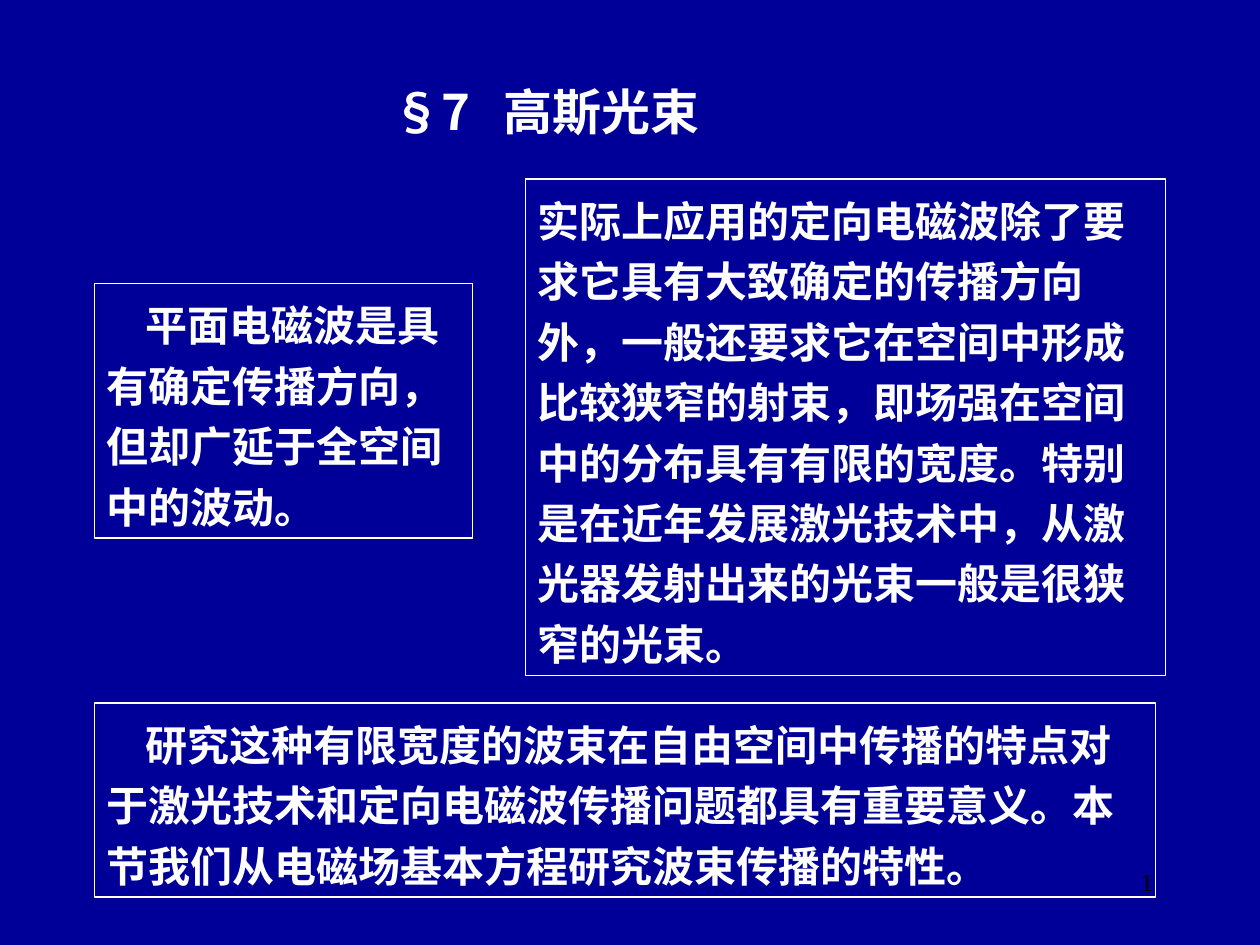
from dataclasses import dataclass

from lxml.etree import SubElement
from pptx import Presentation
from pptx.dml.color import RGBColor
from pptx.enum.shapes import MSO_SHAPE as Shape
from pptx.enum.text import MSO_ANCHOR as Anchor, MSO_AUTO_SIZE as AutoSize, PP_ALIGN as Align
from pptx.oxml.ns import qn
from pptx.util import Inches, Pt


@dataclass(frozen=True)
class Theme:
    background: RGBColor = RGBColor(0x00, 0x00, 0x99)
    foreground: RGBColor = RGBColor(0xFF, 0xFF, 0xFF)
    number_color: RGBColor = RGBColor(0x00, 0x00, 0x00)
    text_font: str = "Noto Sans CJK SC"
    number_font: str = "Times New Roman"
    title_size: int = 28
    body_size: int = 24
    number_size: int = 14
    line_spacing: float = 1.2
    border: float = 0.75


THEME = Theme()
SLIDE_WIDTH, SLIDE_HEIGHT = 10, 7.5
COLUMN = SLIDE_WIDTH / 120
ROW = SLIDE_HEIGHT / 90
FIRST_LINE_INDENT = 0.31
TITLE_GAP = 12.6  # points added to the space after the section number

# Each panel: (left, top, width, height) in columns and rows, indent, text
PANELS = [
    ((9, 67, 101, 18.5), FIRST_LINE_INDENT,
     "研究这种有限宽度的波束在自由空间中传播的特点对于激光技术和定向电磁波传播问题"
     "都具有重要意义。本节我们从电磁场基本方程研究波束传播的特性。"),
    ((9, 27, 36, 24.25), FIRST_LINE_INDENT,
     "平面电磁波是具有确定传播方向，但却广延于全空间中的波动。"),
    ((50, 17, 61, 47.25), 0,
     "实际上应用的定向电磁波除了要求它具有大致确定的传播方向外，一般还要求它在空间中"
     "形成比较狭窄的射束，即场强在空间中的分布具有有限的宽度。特别是在近年发展激光技术中，"
     "从激光器发射出来的光束一般是很狭窄的光束。"),
]


def grid(left, top, width, height):
    """Turn columns and rows into slide lengths."""
    return [Inches(round(value, 2)) for value in
            (left * COLUMN, top * ROW, width * COLUMN, height * ROW)]


def format_paragraph(paragraph, size, align, indent=0):
    paragraph.alignment = align
    paragraph.line_spacing = THEME.line_spacing
    font = paragraph.font
    font.size, font.bold, font.name = Pt(size), True, THEME.text_font
    font.color.rgb = THEME.foreground
    properties = paragraph._p.get_or_add_pPr()
    properties.set("marL", "0")
    properties.set("indent", str(Inches(indent)))
    properties.set("hangingPunct", "0")
    SubElement(properties.find(qn("a:defRPr")), qn("a:ea"), typeface=THEME.text_font)


def fill_text(shape, parts, size, align, indent=0):
    """Write one paragraph with a run for each part; return its runs."""
    frame = shape.text_frame
    frame.word_wrap = True
    frame.auto_size = AutoSize.SHAPE_TO_FIT_TEXT
    frame.vertical_anchor = Anchor.TOP
    paragraph = frame.paragraphs[0]
    for part in parts:
        paragraph.add_run().text = part
    format_paragraph(paragraph, size, align, indent)
    return paragraph.runs


def add_title(slide, number, name):
    title = slide.shapes.title
    title.left, title.top, title.width, title.height = grid(30, 6, 44, 7.9)
    runs = fill_text(title, [number, " ", name], THEME.title_size, Align.CENTER)
    runs[1]._r.get_or_add_rPr().set("spc", str(round(TITLE_GAP * 100)))


def add_panel(slide, place, indent, text):
    panel = slide.shapes.add_shape(Shape.RECTANGLE, *grid(*place))
    panel.shadow.inherit = False
    panel.fill.background()
    panel.line.color.rgb = THEME.foreground
    panel.line.width = Pt(THEME.border)
    fill_text(panel, [text], THEME.body_size, Align.LEFT, indent)


def add_slide_number(slide):
    """Add a live slide number field."""
    box = slide.shapes.add_textbox(*grid(86, 82, 25, 6))
    box.text_frame.word_wrap = True
    paragraph = box.text_frame.paragraphs[0]
    paragraph.alignment = Align.RIGHT
    font = paragraph.font
    font.size, font.name = Pt(THEME.number_size), THEME.number_font
    font.color.rgb = THEME.number_color
    field = SubElement(paragraph._p, qn("a:fld"), type="slidenum",
                       id="{B6F15528-21DE-4FAA-801E-634DDDAF4B2B}")
    SubElement(field, qn("a:rPr"), lang="en-US")
    SubElement(field, qn("a:t")).text = "1"


def main():
    presentation = Presentation()
    presentation.slide_width = Inches(SLIDE_WIDTH)
    presentation.slide_height = Inches(SLIDE_HEIGHT)
    slide = presentation.slides.add_slide(presentation.slide_layouts[5])
    slide.background.fill.solid()
    slide.background.fill.fore_color.rgb = THEME.background
    add_title(slide, "§7", "高斯光束")
    for place, indent, text in PANELS:
        add_panel(slide, place, indent, text)
    add_slide_number(slide)
    presentation.save("out.pptx")


if __name__ == "__main__":
    main()
